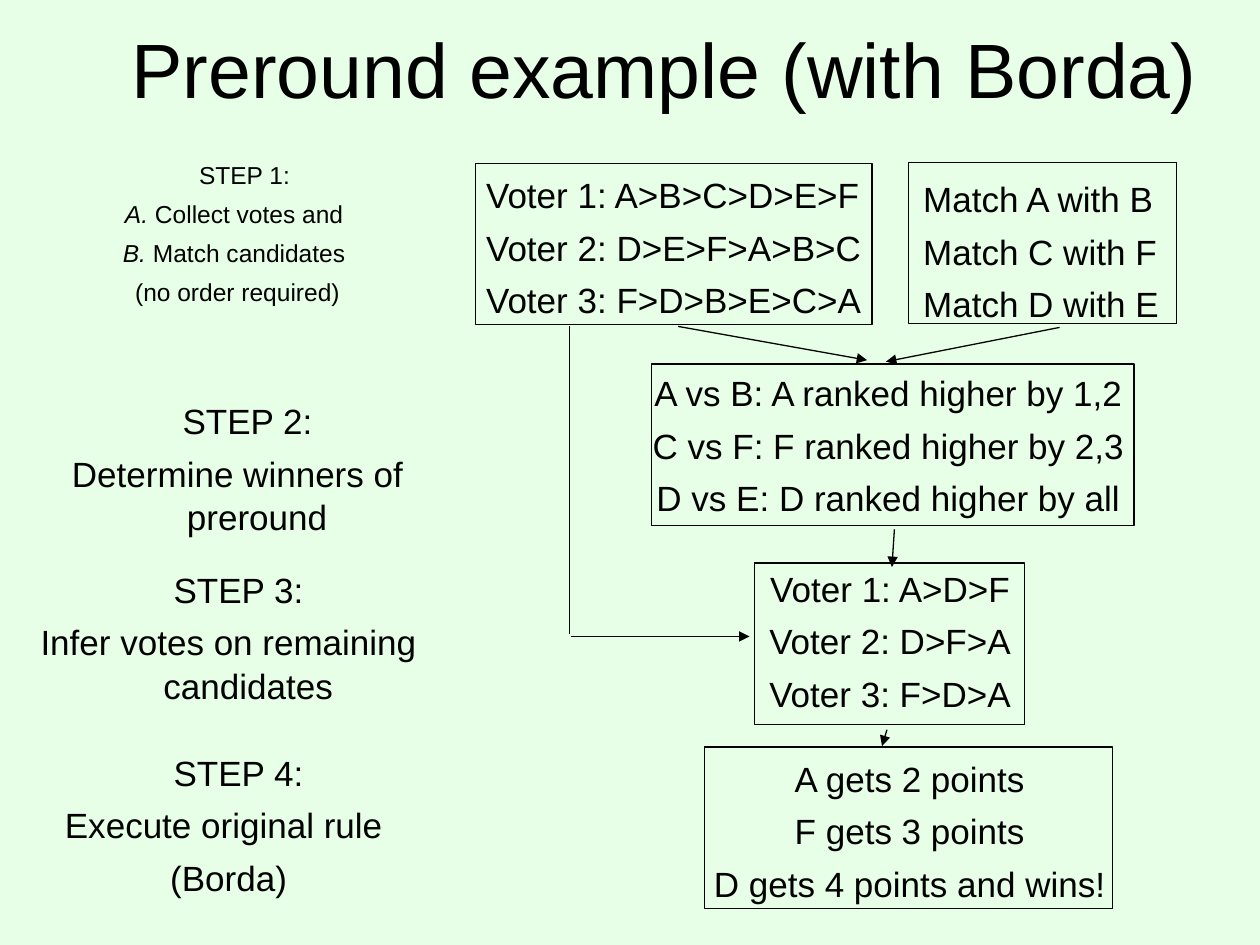
"""Build the slide that walks through a preround with the Borda rule."""
from lxml import etree
from pptx import Presentation
from pptx import util as u
from pptx.dml.color import RGBColor
from pptx.enum import shapes, text
from pptx.oxml import ns

COLORS = {"ink": "000000", "paper": "E7FFE7"}
FONT = {"name": "Arial"}
TITLE = ("Preround example (with Borda)", (1.83, 0.38, 23.14, 1.96))

LEFT, CENTER = text.PP_ALIGN.LEFT, text.PP_ALIGN.CENTER
PANELS = [
    (LEFT, (8.28, 3.35, 9.7, 3.58),
     ["Voter 1: A>B>C>D>E>F", "Voter 2: D>E>F>A>B>C", "Voter 3: F>D>B>E>C>A"]),
    (CENTER, (12.55, 15.11, 10.31, 3.33),
     ["A gets 2 points", "F gets 3 points", "D gets 4 points and wins!"]),
    (CENTER, (13.87, 11.28, 6.88, 3.38),
     ["Voter 1: A>D>F", "Voter 2: D>F>A", "Voter 3: F>D>A"]),
    (CENTER, (11.33, 7.34, 11.89, 3.23),
     ["A vs B: A ranked higher by 1,2", "C vs F: F ranked higher by 2,3",
      "D vs E: D ranked higher by all"]),
    (LEFT, (17.09, 3.43, 7.44, 3.25),
     ["Match A with B", "Match C with F", "Match D with E"]),
]
STEP_SIZE = (10.95, 3.23)
STEPS = [
    (-1.32, 3.07, 14, "STEP 1:",
     [("A. ", "Collect votes and "), ("B. ", "Match candidates "), "(no order required)"]),
    (-1.32, 7.9, 20, "STEP 2:", ["Determine winners of preround"]),
    (-1.5, 11.3, 20, "STEP 3:", ["Infer votes on remaining candidates"]),
    (-1.5, 14.99, 20, "STEP 4:", ["Execute original rule ", "(Borda)"]),
]
FRAME_HEIGHT = 3.25
FRAMES = [(9.58, 3.3, 8), (18.31, 3.28, 5.41), (13.13, 7.34, 9.73),
          (14.2, 15.06, 8.23), (15.21, 11.35, 5.44)]
LINES = [
    ((13.67, 6.58), (17.48, 7.26), True),
    ((21.36, 6.6), (17.86, 7.29), True),
    ((18.03, 10.67), (17.98, 11.43), True),
    ((17.88, 14.71), (17.78, 15.04), True),
    ((11.48, 6.58), (11.48, 12.78), False),
    ((11.51, 12.83), (15.11, 12.83), True),
]
MARGIN, HANGING = 2.06, -0.79
HEADING_SHIFT = 0.02


def cm(values):
    return [u.Cm(value) for value in values]


def set_all(target, values):
    for name, value in values.items():
        setattr(target, name, value)


def add_span(para, words, size, italic=False):
    span = para.add_run()
    span.text = words
    set_all(span.font, FONT | {"size": u.Pt(size), "italic": italic})
    span.font.color.rgb = RGBColor.from_string(COLORS["ink"])


def add_frame(page, place):
    frame = page.shapes.add_textbox(*cm(place)).text_frame
    frame.word_wrap = True
    return frame


def add_para(frame, index, align, indent):
    para = frame.add_paragraph() if index else frame.paragraphs[0]
    set_all(para, {"alignment": align, "space_before": u.Pt(5), "line_spacing": 1.04})
    para_format = para._p.get_or_add_pPr()
    para_format.set("marL", str(u.Cm(MARGIN)))
    para_format.set("indent", str(u.Cm(indent)))
    return para


def add_lines(page, place, lines, size, align, first_indent=HANGING):
    frame = add_frame(page, place)
    for index, line in enumerate(lines):
        para = add_para(frame, index, align, HANGING if index else first_indent)
        if isinstance(line, tuple):
            letter, line = line
            add_span(para, letter, size, True)
        add_span(para, line, size)


def style_line(shape):
    shape.line.color.rgb = RGBColor.from_string(COLORS["ink"])
    shape.line.width = u.Pt(0.75)


def add_line(page, start, end, arrow):
    line = page.shapes.add_connector(shapes.MSO_CONNECTOR.STRAIGHT, *cm(start + end))
    style_line(line)
    if arrow:
        etree.SubElement(line.line._get_or_add_ln(), ns.qn("a:tailEnd"), type="triangle")
    etree.SubElement(line._element.spPr, ns.qn("a:effectLst"))


def main():
    deck = Presentation()
    set_all(deck, {"slide_width": u.Cm(25.4), "slide_height": u.Cm(19.05)})
    page = deck.slides.add_slide(deck.slide_layouts[6])
    page.background.fill.solid()
    page.background.fill.fore_color.rgb = RGBColor.from_string(COLORS["paper"])

    words, place = TITLE
    frame = add_frame(page, place)
    frame.vertical_anchor = text.MSO_ANCHOR.MIDDLE
    frame.paragraphs[0].alignment = CENTER
    add_span(frame.paragraphs[0], words, 44)

    for align, place, lines in PANELS:
        add_lines(page, place, lines, 20, align)
    for left, top, size, heading, lines in STEPS:
        add_lines(page, (left, top, *STEP_SIZE), [heading, *lines], size, CENTER,
                  HANGING + HEADING_SHIFT * size)
    for left, top, width in FRAMES:
        box = page.shapes.add_shape(shapes.MSO_SHAPE.RECTANGLE,
                                    *cm((left, top, width, FRAME_HEIGHT)))
        box.shadow.inherit = False
        box.fill.background()
        style_line(box)
    for start, end, arrow in LINES:
        add_line(page, start, end, arrow)
    deck.save("out.pptx")


if __name__ == "__main__":
    main()
